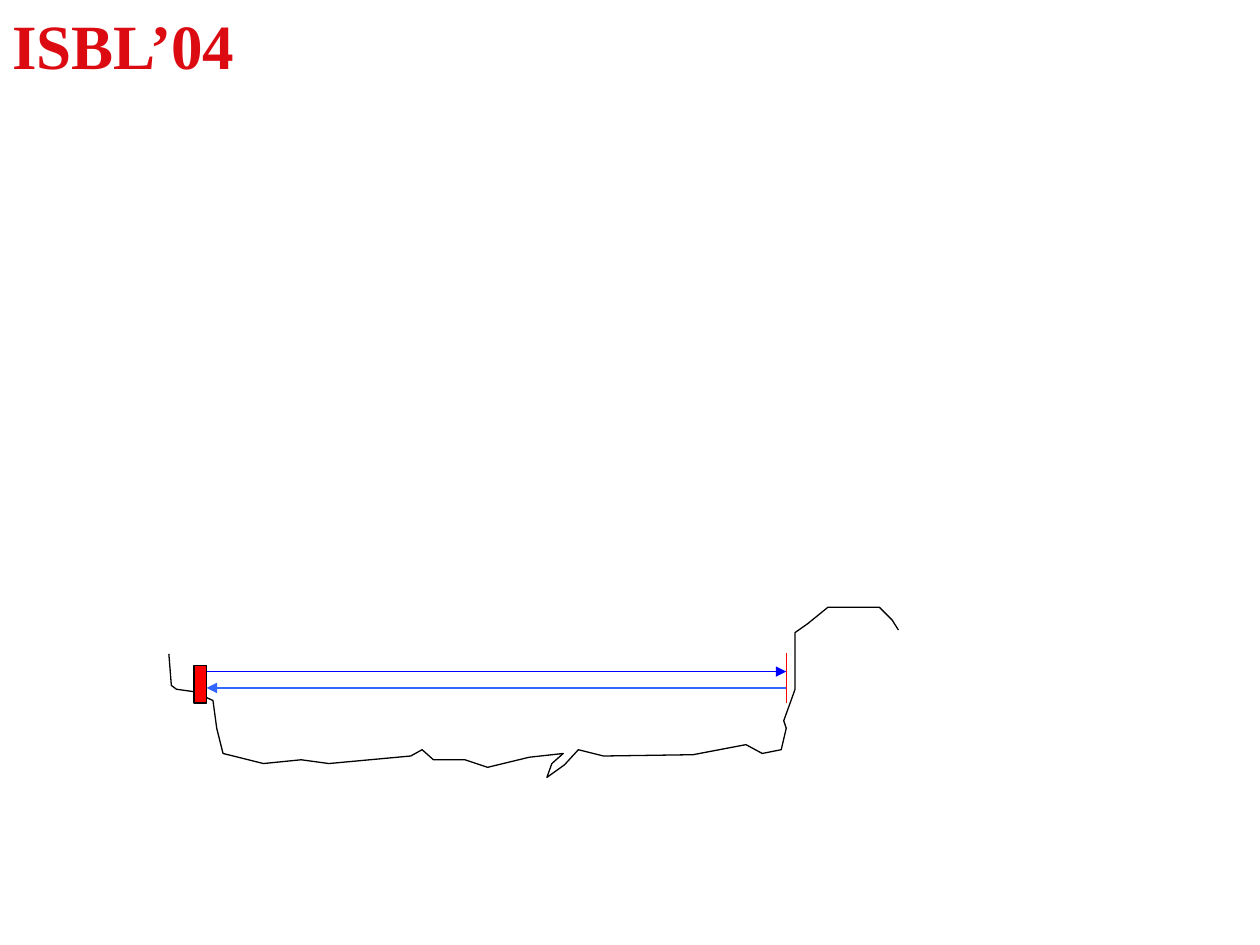
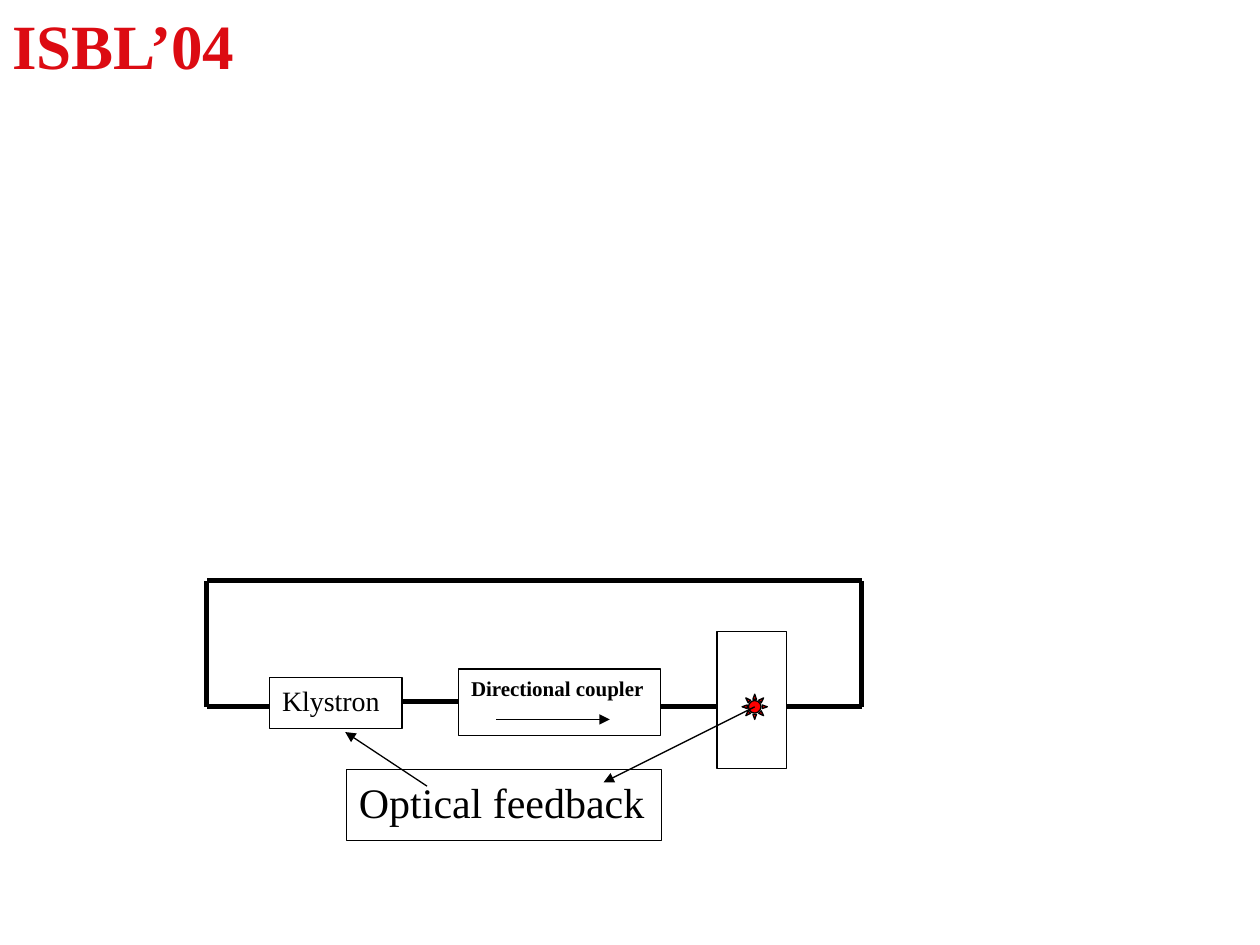
from pptx import Presentation
from pptx.dml.color import RGBColor
from pptx.enum.shapes import MSO_CONNECTOR, MSO_SHAPE
from pptx.enum.text import MSO_ANCHOR, PP_ALIGN
from pptx.oxml.ns import qn
from pptx.util import Inches, Pt
from lxml.etree import SubElement

FONT = "Times New Roman"
BLACK, WHITE, RED, BLUE, SKY = "000000", "FFFFFF", "FF0000", "0000FF", "3366FF"
TITLE = "DC0B12"
THIN, THICK = 0.75, 3

GROUND = [
    (1.34, 5.19), (1.36, 5.44), (1.4, 5.47), (1.54, 5.49), (1.69, 5.56),
    (1.72, 5.78), (1.77, 5.98), (2.09, 6.06), (2.39, 6.03), (2.61, 6.06),
    (3.26, 6), (3.35, 5.95), (3.44, 6.03), (3.69, 6.03), (3.87, 6.09),
    (4.2, 6.01), (4.47, 5.98), (4.38, 6.06), (4.34, 6.17), (4.48, 6.07),
    (4.59, 5.95), (4.79, 6), (5.5, 5.99), (5.92, 5.91), (6.05, 5.98),
    (6.2, 5.95), (6.24, 5.78), (6.22, 5.72), (6.31, 5.47), (6.31, 5.02),
    (6.41, 4.95), (6.57, 4.82), (6.98, 4.82), (7.08, 4.92), (7.13, 5),
]


def paint(part, color):
    part.solid()
    part.fore_color.rgb = RGBColor.from_string(color)


def stroke(shape, color=BLACK, width=THIN):
    paint(shape.line.fill, color)
    shape.line.width = Pt(width)


def write(shape, text, size, color=BLACK, bold=False):
    frame = shape.text_frame
    frame.word_wrap = True
    frame.vertical_anchor = MSO_ANCHOR.TOP
    frame.text = text
    para = frame.paragraphs[0]
    para.alignment = PP_ALIGN.LEFT
    font = para.runs[0].font
    font.name, font.size, font.bold = FONT, Pt(size), bold
    font.color.rgb = RGBColor.from_string(color)


def block(slide, at, fill=WHITE, kind=MSO_SHAPE.RECTANGLE):
    shape = slide.shapes.add_shape(kind, *map(Inches, at))
    shape.shadow.inherit = False
    paint(shape.fill, fill)
    stroke(shape)
    return shape


def link(slide, start, end, color=BLACK, width=THIN, arrow=False):
    line = slide.shapes.add_connector(
        MSO_CONNECTOR.STRAIGHT, *map(Inches, (*start, *end)))
    stroke(line, color, width)
    if arrow:
        edge = line._element.spPr.find(qn("a:ln"))
        SubElement(edge, qn("a:tailEnd"), type="triangle")
    SubElement(line._element.spPr, qn("a:effectLst"))


def outline(slide, points):
    start, *rest = [tuple(map(Inches, point)) for point in points]
    pen = slide.shapes.build_freeform(*start)
    pen.add_line_segments(rest, close=False)
    shape = pen.convert_to_shape()
    shape.shadow.inherit = False
    shape.fill.background()
    stroke(shape)


def page(deck):
    slide = deck.slides.add_slide(deck.slide_layouts[6])
    paint(slide.background.fill, WHITE)
    title = slide.shapes.add_textbox(*map(Inches, (0, 0, 2.25, 0.7)))
    write(title, "ISBL’04", 36, TITLE, True)
    return slide


def valley(deck):
    slide = page(deck)
    left, right = 1.64, 6.24
    outline(slide, GROUND)
    block(slide, (1.54, 5.28, 0.1, 0.3), RED)
    link(slide, (right, 5.18), (right, 5.58), RED)
    link(slide, (left, 5.33), (right, 5.33), BLUE, arrow=True)
    link(slide, (right, 5.46), (left, 5.46), SKY, arrow=True)


def loop(deck):
    slide = page(deck)
    left, right, top, base = 1.64, 6.84, 4.61, 5.61
    write(block(slide, (2.14, 5.38, 1.05, 0.4)), "Klystron", 16)
    link(slide, (3.19, 5.57), (3.79, 5.57), width=THICK)
    write(block(slide, (3.64, 5.31, 1.6, 0.53)), "Directional coupler", 12, bold=True)
    link(slide, (5.24, base), (5.74, base), width=THICK)
    block(slide, (5.69, 5.01, 0.55, 1.09))
    block(slide, (5.89, 5.51, 0.2, 0.2), RED, MSO_SHAPE.SUN)
    ring = [(6.24, base), (right, base), (right, top),
            (left, top), (left, base), (2.14, base)]
    for start, end in zip(ring, ring[1:]):
        link(slide, start, end, width=THICK)
    write(block(slide, (2.75, 6.11, 2.5, 0.56)), "Optical feedback", 24)
    for start, end in (((3.94, 5.71), (4.84, 5.71)),
                       ((5.99, base), (4.79, 6.21)),
                       ((3.39, 6.24), (2.74, 5.81))):
        link(slide, start, end, arrow=True)


def main():
    deck = Presentation()
    deck.slide_width, deck.slide_height = Inches(10), Inches(7.5)
    valley(deck)
    loop(deck)
    deck.save("out.pptx")


if __name__ == "__main__":
    main()
